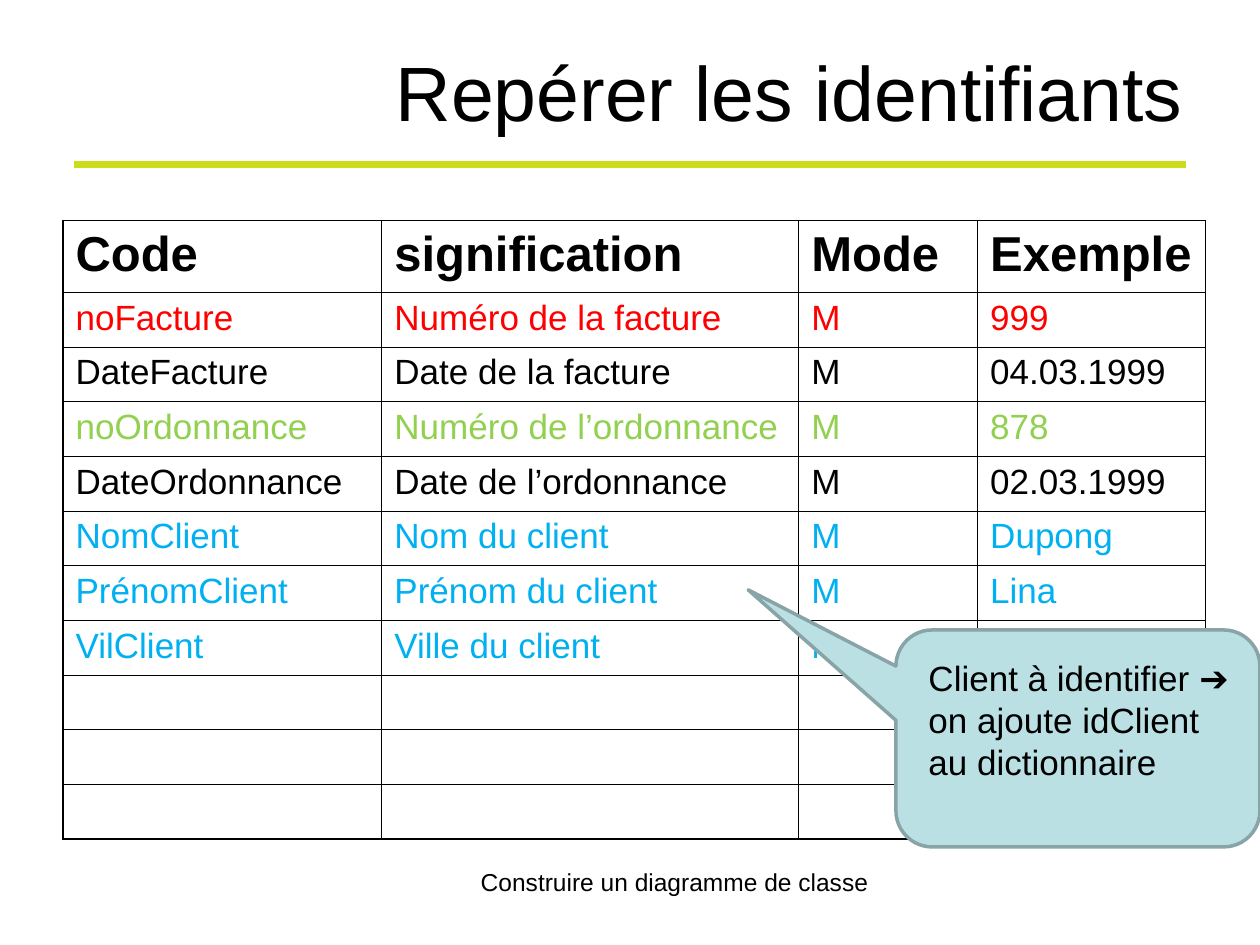
from lxml import etree
from pptx import Presentation
from pptx.dml.color import RGBColor
from pptx.enum import shapes, text
from pptx.oxml import ns
from pptx.util import Pt

BLACK = RGBColor(0x00, 0x00, 0x00)
RED = RGBColor(0xFF, 0x00, 0x00)
GREEN = RGBColor(0x92, 0xD0, 0x50)
BLUE = RGBColor(0x00, 0xB0, 0xF0)
LIME = RGBColor(0xCB, 0xDC, 0x1A)
PALE_TEAL = RGBColor(0xBB, 0xE0, 0xE3)
TEAL = RGBColor(0x89, 0xA4, 0xA7)

FONT = "Arial"
COLUMN_WIDTHS = (182.2, 238.3, 102.2, 130.3)
HEADER_HEIGHT = 41
INNER_BORDER, OUTER_BORDER = 0.45, 1.08
DICTIONARY = (
    (BLACK, ("Code", "signification", "Mode", "Exemple")),
    (RED, ("noFacture", "Numéro de la facture", "M", "999")),
    (BLACK, ("DateFacture", "Date de la facture", "M", "04.03.1999")),
    (GREEN, ("noOrdonnance", "Numéro de l’ordonnance", "M", "878")),
    (BLACK, ("DateOrdonnance", "Date de l’ordonnance", "M", "02.03.1999")),
    (BLUE, ("NomClient", "Nom du client", "M", "Dupong")),
    (BLUE, ("PrénomClient", "Prénom du client", "M", "Lina")),
    (BLUE, ("VilClient", "Ville du client", "M", "")),
    *((BLACK, ("", "", "", "")),) * 3,
)


def style_paragraph(paragraph, size, color=BLACK, bold=False):
    font = paragraph.font
    font.name, font.size, font.bold = FONT, Pt(size), bold
    font.color.rgb = color


def add_text(slide, box, content, size, alignment, anchor=text.MSO_ANCHOR.TOP):
    shape = slide.shapes.add_textbox(*map(Pt, box))
    frame = shape.text_frame
    frame.word_wrap = True
    frame.vertical_anchor = anchor
    paragraph = frame.paragraphs[0]
    paragraph.text = content
    paragraph.alignment = alignment
    style_paragraph(paragraph, size)


def add_title(slide, box):
    left, top, width, height = box
    rule_top = top + height + 11.5
    rule = slide.shapes.add_connector(
        shapes.MSO_CONNECTOR.STRAIGHT,
        Pt(left + 6.5), Pt(rule_top), Pt(left + width - 5.5), Pt(rule_top))
    rule.line.color.rgb = LIME
    rule.line.width = Pt(4.5)
    etree.SubElement(rule._element.spPr, ns.qn("a:effectLst"))
    add_text(slide, box, "Repérer les identifiants", 44,
             text.PP_ALIGN.RIGHT, text.MSO_ANCHOR.MIDDLE)


def add_border(cell, side, width):
    properties = cell._tc.get_or_add_tcPr()
    line = etree.SubElement(properties, ns.qn(f"a:ln{side}"), w=str(Pt(width)))
    fill = etree.SubElement(line, ns.qn("a:solidFill"))
    etree.SubElement(fill, ns.qn("a:srgbClr"), val=str(BLACK))


def add_dictionary(slide, box):
    row_count, column_count = len(DICTIONARY), len(COLUMN_WIDTHS)
    table = slide.shapes.add_table(row_count, column_count, *map(Pt, box)).table
    table.first_row = table.horz_banding = False
    for column, width in zip(table.columns, COLUMN_WIDTHS):
        column.width = Pt(width)
    body_height = (box[3] - HEADER_HEIGHT) / (row_count - 1)
    for i, (color, entries) in enumerate(DICTIONARY):
        header = i == 0
        table.rows[i].height = Pt(HEADER_HEIGHT if header else body_height)
        for j, entry in enumerate(entries):
            cell = table.cell(i, j)
            outer = {"L": j == 0, "R": j == column_count - 1,
                     "T": header, "B": i == row_count - 1}
            for side, is_outer in outer.items():
                add_border(cell, side, OUTER_BORDER if is_outer else INNER_BORDER)
            cell.fill.background()
            paragraph = cell.text_frame.paragraphs[0]
            paragraph.text = entry
            paragraph.space_before = Pt(7 if header else 5)
            style_paragraph(paragraph, 28 if header else 20, color, header)


def add_callout(slide, box):
    left, top, width, height = box
    callout = slide.shapes.add_shape(
        shapes.MSO_SHAPE.ROUNDED_RECTANGULAR_CALLOUT, *map(Pt, box))
    for i, value in enumerate((-0.906, -0.685, 0.167)):
        callout.adjustments[i] = value
    callout.shadow.inherit = False
    callout.fill.solid()
    callout.fill.fore_color.rgb = PALE_TEAL
    callout.line.color.rgb = TEAL
    callout.line.width = Pt(2)
    inset = 11.5
    add_text(slide, (left + inset, top + inset, width - inset, 79),
             "Client à identifier ➔ on ajoute idClient au dictionnaire",
             20, text.PP_ALIGN.LEFT)


def add_footer(slide, box):
    add_text(slide, box, "Construire un diagramme de classe", 14,
             text.PP_ALIGN.CENTER)


def main():
    presentation = Presentation()
    presentation.slide_width, presentation.slide_height = Pt(720), Pt(540)
    slide = presentation.slides.add_slide(presentation.slide_layouts[6])
    add_title(slide, (36, 21.5, 647.5, 61))
    add_dictionary(slide, (36, 126, sum(COLUMN_WIDTHS), 353))
    add_callout(slide, (512, 360, 208, 124))
    add_footer(slide, (246, 492, 279, 37))
    presentation.save("out.pptx")


if __name__ == "__main__":
    main()
